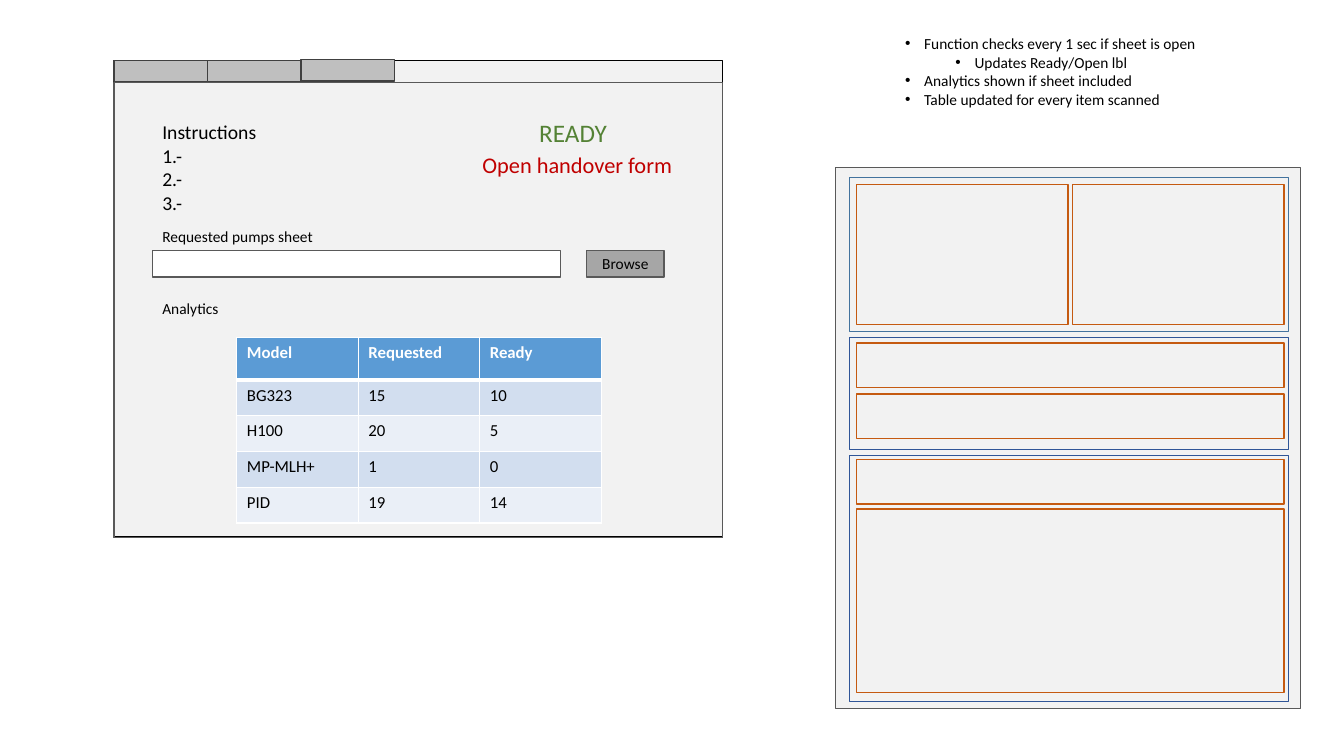
import pptx
import pptx.util
import pptx.dml.color
import pptx.enum.shapes
import pptx.enum.text
import pptx.oxml
import pptx.oxml.ns
from pptx.util import Cm, Pt

FONT = "Calibri"
COLORS = {
    "panel": "F2F2F2", "white": "FFFFFF", "black": "000000",
    "tab": "BFBFBF", "rim": "404040", "edge": "595959", "button": "A6A6A6",
    "ready": "548235", "alert": "C00000",
    "head": "5B9BD5", "odd": "D2DEEF", "even": "EAEFF7",
    "teal": "43739E", "navy": "2F5597", "rust": "C55A11",
}
NOTES = [
    (0, "Function checks every 1 sec if sheet is open"),
    (1, "Updates Ready/Open lbl"),
    (0, "Analytics shown if sheet included"),
    (0, "Table updated for every item scanned"),
]
PUMPS = [
    ("Model", "Requested", "Ready"),
    ("BG323", "15", "10"),
    ("H100", "20", "5"),
    ("MP-MLH+", "1", "0"),
    ("PID", "19", "14"),
]


def shade(name):
    return pptx.dml.color.RGBColor.from_string(COLORS[name])


def style(para, size, color, bold=False):
    for run in para.runs:
        run.font.name = FONT
        run.font.size = Pt(size)
        run.font.bold = bold
        run.font.color.rgb = shade(color)


def add_box(shapes, left, top, width, height, fill, line):
    kind = pptx.enum.shapes.MSO_SHAPE.RECTANGLE
    box = shapes.add_shape(kind, Cm(left), Cm(top), Cm(width), Cm(height))
    box.shadow.inherit = False
    if fill:
        box.fill.solid()
        box.fill.fore_color.rgb = shade(fill)
    else:
        box.fill.background()
    box.line.color.rgb = shade(line)
    box.line.width = Pt(1)


def add_label(shapes, left, top, width, height, text, size=11, color="black"):
    label = shapes.add_textbox(Cm(left), Cm(top), Cm(width), Cm(height))
    frame = label.text_frame
    frame.word_wrap = True
    frame.auto_size = pptx.enum.text.MSO_AUTO_SIZE.SHAPE_TO_FIT_TEXT
    frame.text = text
    for para in frame.paragraphs:
        style(para, size, color)
    return frame


def add_notes(shapes):
    text = "\n".join(line for _, line in NOTES)
    frame = add_label(shapes, 22.56, 0.74, 7.9, 2.13, text)
    for para, (level, _) in zip(frame.paragraphs, NOTES):
        para.level = level
        props = para._p.get_or_add_pPr()
        props.set("marL", str(Cm(0.48 + 1.27 * level)))
        props.set("indent", str(-Cm(0.48)))
        for tag, key, value in (("buFont", "typeface", "Arial"),
                                ("buChar", "char", "•")):
            mark = pptx.oxml.parse_xml(
                f'<a:{tag} {pptx.oxml.ns.nsdecls("a")} {key}="{value}"/>')
            props.append(mark)


def set_edge(cell, side, points):
    line = pptx.oxml.parse_xml(
        f'<a:{side} {pptx.oxml.ns.nsdecls("a")} w="{Pt(points)}"><a:solidFill>'
        f'<a:srgbClr val="{COLORS["white"]}"/></a:solidFill></a:{side}>')
    props = cell._tc.get_or_add_tcPr()
    fill = props.find(pptx.oxml.ns.qn("a:solidFill"))
    fill.addprevious(line)


def add_table(shapes):
    frame = shapes.add_table(len(PUMPS), len(PUMPS[0]),
                             Cm(5.97), Cm(8.51), Cm(9.18), Cm(4.67))
    table = frame.table
    for col in table.columns:
        col.width = Cm(3.06)
    for i, values in enumerate(PUMPS):
        table.rows[i].height = Cm(0.9 if i else 1.07)
        fill = ("even", "odd")[i % 2] if i else "head"
        for j, value in enumerate(values):
            cell = table.cell(i, j)
            cell.text = value
            style(cell.text_frame.paragraphs[0], 12,
                  "black" if i else "white", bold=i == 0)
            cell.fill.solid()
            cell.fill.fore_color.rgb = shade(fill)
            set_edge(cell, "lnL", 1)
            set_edge(cell, "lnR", 1)
            set_edge(cell, "lnT", 3 if i == 1 else 1)
            set_edge(cell, "lnB", 3 if i == 0 else 1)


def add_window(shapes):
    # Window, input field and tabs
    add_box(shapes, 2.87, 1.52, 15.34, 12.01, "panel", "black")
    add_box(shapes, 3.84, 6.32, 10.29, 0.66, "white", "edge")
    add_label(shapes, 3.84, 5.61, 6.07, 0.74, "Requested pumps sheet")
    add_label(shapes, 3.84, 2.9, 11.3, 2.64,
              "Instructions\n1.-\n2.-\n3.-", 14)
    add_box(shapes, 2.87, 2.08, 15.34, 11.46, None, "edge")
    for i, top in enumerate((1.52, 1.52, 1.5)):
        add_box(shapes, 2.87 + 2.36 * i, top, 2.36, 0.54, "tab", "rim")

    # Analytics
    add_label(shapes, 3.84, 7.42, 1.96, 0.74, "Analytics")
    add_table(shapes)

    # Browse button
    button = shapes.add_group_shape().shapes
    add_box(button, 14.78, 6.32, 1.96, 0.66, "button", "edge")
    frame = add_label(button, 14.78, 6.27, 1.96, 0.74, "Browse")
    frame.paragraphs[0].alignment = pptx.enum.text.PP_ALIGN.CENTER

    # Status
    add_label(shapes, 13.34, 2.82, 2.39, 1.02, "READY", 18, "ready")
    add_label(shapes, 11.91, 3.68, 5.74, 0.94,
              "Open handover form", 16, "alert")


def add_layout(shapes):
    add_box(shapes, 21.06, 4.22, 11.71, 13.64, "panel", "edge")
    # Sections
    for top, height, line in ((4.47, 3.89, "teal"), (8.51, 2.82, "navy"),
                              (11.48, 6.2, "navy")):
        add_box(shapes, 21.41, top, 11.07, height, "panel", line)
    # Two halves of the top section
    for i in range(2):
        add_box(shapes, 21.59 + 5.44 * i, 4.65, 5.33, 3.53, "panel", "rust")
    # Full-width rows
    for top, height in ((8.64, 1.12), (9.93, 1.12),
                        (11.58, 1.12), (12.83, 4.62)):
        add_box(shapes, 21.59, top, 10.77, height, "panel", "rust")


def main():
    deck = pptx.Presentation()
    deck.slide_width = Cm(33.87)
    deck.slide_height = Cm(19.05)
    shapes = deck.slides.add_slide(deck.slide_layouts[6]).shapes
    add_window(shapes)
    add_notes(shapes)
    add_layout(shapes)
    deck.save("out.pptx")


main()
